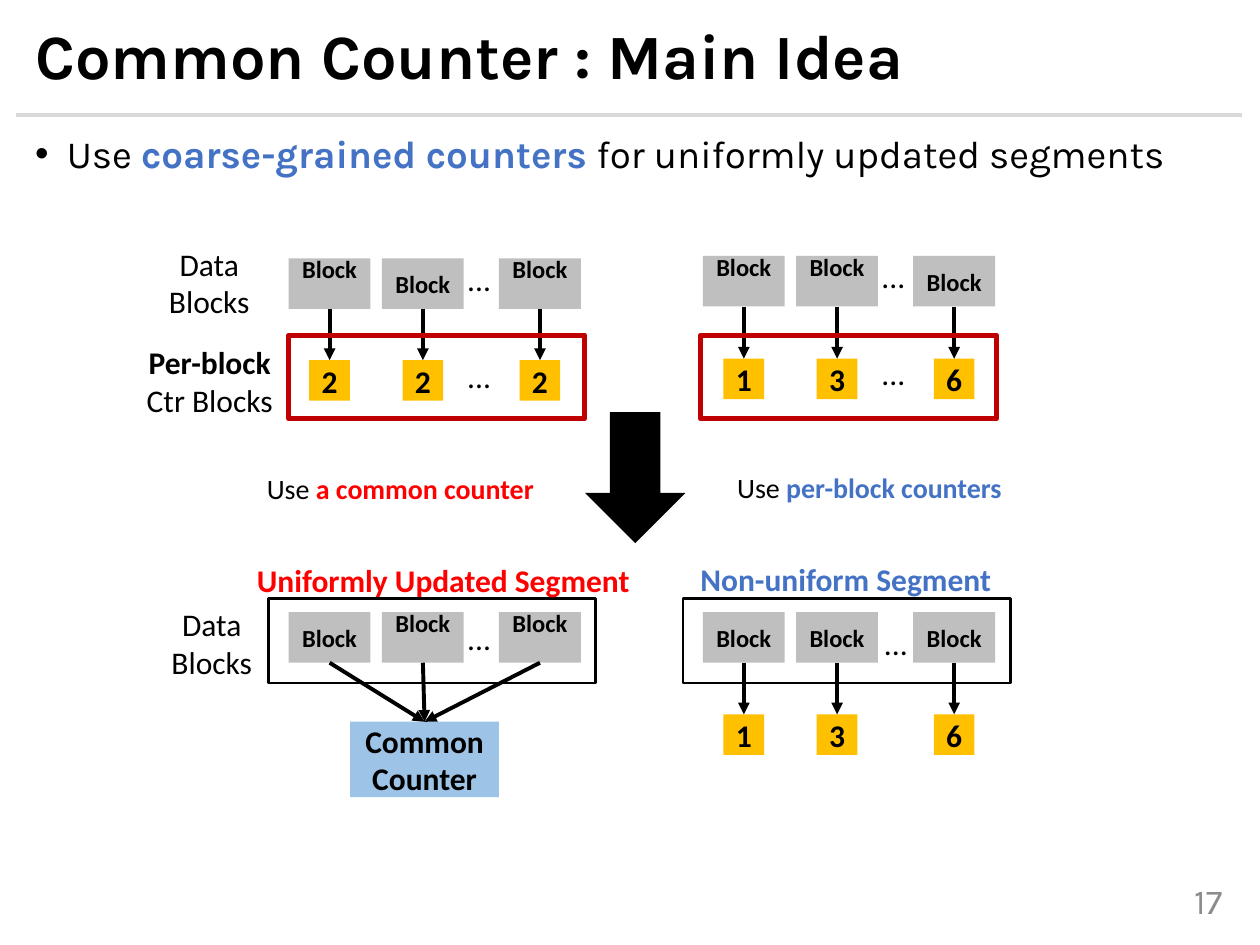
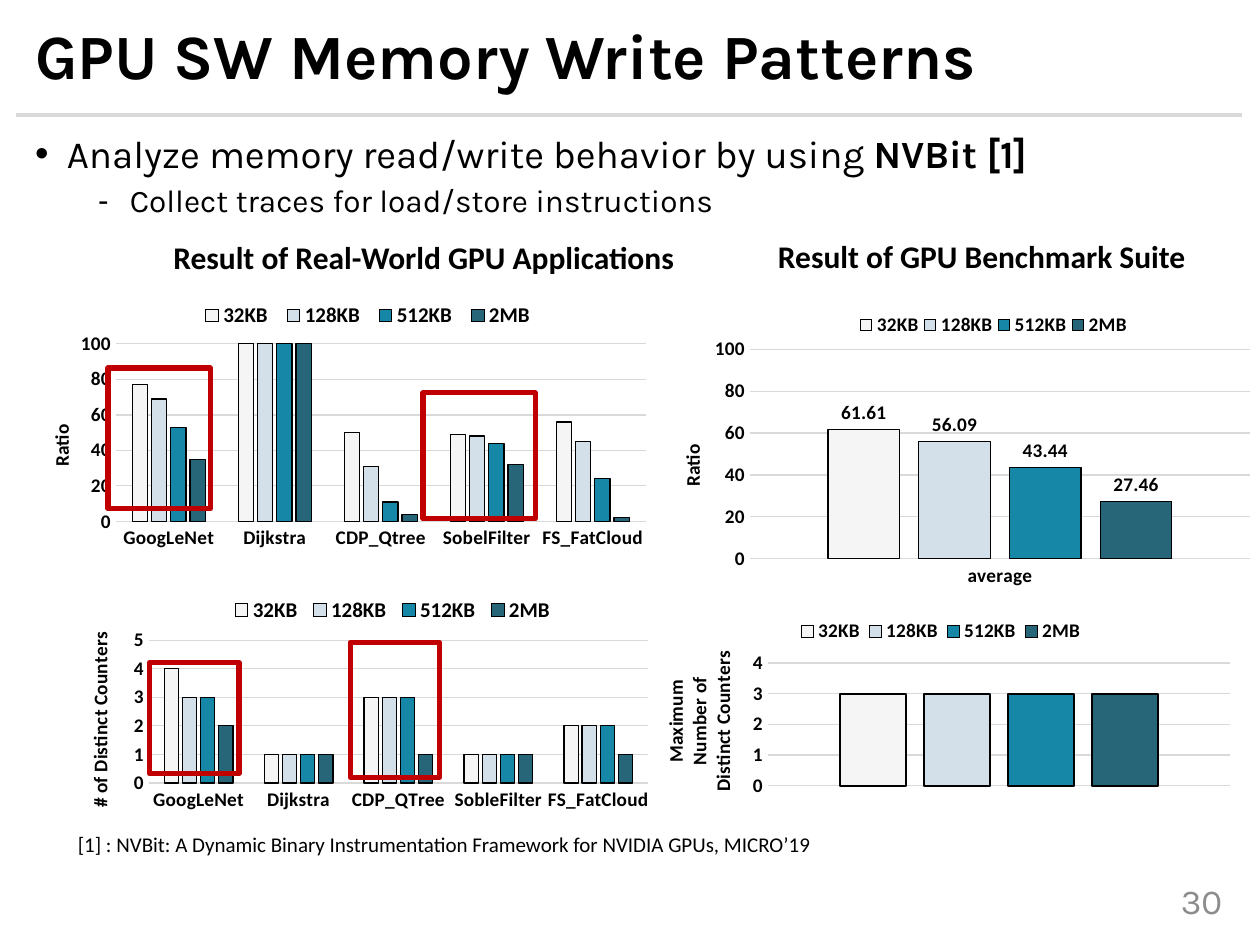
from lxml.etree import SubElement
from pptx import Presentation
from pptx.chart.data import CategoryChartData
from pptx.dml.color import RGBColor
from pptx.enum.chart import XL_CHART_TYPE as ChartType
from pptx.enum.chart import XL_LABEL_POSITION as LabelPosition
from pptx.enum.chart import XL_LEGEND_POSITION as LegendPosition
from pptx.enum.chart import XL_TICK_MARK as TickMark
from pptx.enum.shapes import MSO_CONNECTOR as Connector
from pptx.enum.shapes import MSO_SHAPE as Shape
from pptx.enum.text import MSO_ANCHOR as Anchor
from pptx.enum.text import PP_ALIGN as Align
from pptx.oxml import parse_xml
from pptx.oxml.ns import nsdecls, qn
from pptx.util import Cm, Pt

BLACK = RGBColor(0x00, 0x00, 0x00)
RED = RGBColor(0xFF, 0x00, 0x00)
DARK_RED = RGBColor(0xC0, 0x00, 0x00)
BLUE = RGBColor(0x44, 0x72, 0xC4)
LIGHT_BLUE = RGBColor(0x9D, 0xC3, 0xE6)
GOLD = RGBColor(0xFF, 0xC0, 0x00)
BLOCK_GRAY = RGBColor(0xBF, 0xBF, 0xBF)
RULE_GRAY = RGBColor(0xD9, 0xD9, 0xD9)
NUMBER_GRAY = RGBColor(0x8C, 0x8C, 0x8C)
SERIES_COLORS = {
    "32KB": RGBColor(0xF6, 0xF5, 0xF5),
    "128KB": RGBColor(0xD3, 0xE0, 0xEA),
    "512KB": RGBColor(0x16, 0x87, 0xA7),
    "2MB": RGBColor(0x27, 0x66, 0x78),
}
TITLE_FONT, DIAGRAM_FONT = "Karla", "Calibri"


def add_text(slide, at, *paragraphs, shape=None, kind=None, fill=None, outline=None,
             outline_width=1.5, sizes=(18,), font=DIAGRAM_FONT, color=BLACK, bold=False,
             align=Align.LEFT, anchor=Anchor.TOP, margins=(0.25, 0.13, 0.25, 0.13),
             line_spacing=None, bullets=""):
    """Place a box (a text box unless shape or kind is given) and write in it.

    A paragraph is a string or a list of (text, color, bold) runs;
    bullets holds one bullet character per outline level.
    """
    at = [Cm(length) for length in at]
    if shape is not None:
        shape.left, shape.top, shape.width, shape.height = at
    elif kind is None:
        shape = slide.shapes.add_textbox(*at)
    else:
        shape = slide.shapes.add_shape(kind, *at)
        shape.shadow.inherit = False
        if fill is None:
            shape.fill.background()
        else:
            shape.fill.solid()
            shape.fill.fore_color.rgb = fill
        if outline is None:
            shape.line.fill.background()
        else:
            shape.line.color.rgb = outline
            shape.line.width = Pt(outline_width)
    frame = shape.text_frame
    frame.word_wrap = True
    frame.vertical_anchor = anchor
    (frame.margin_left, frame.margin_top,
     frame.margin_right, frame.margin_bottom) = [Cm(margin) for margin in margins]
    for index, runs in enumerate(paragraphs):
        paragraph = frame.add_paragraph() if index else frame.paragraphs[0]
        if bullets:
            properties = paragraph._p.get_or_add_pPr()
            properties.set("marL", str(Cm(0.64 + 1.27 * index)))
            properties.set("indent", str(-Cm(0.64)))
            SubElement(properties, qn("a:buFont")).set("typeface", "Arial")
            SubElement(properties, qn("a:buChar")).set("char", bullets[index])
            paragraph.level = index
            if index:
                paragraph.space_before = Pt(5)
        paragraph.alignment = align
        if line_spacing:
            paragraph.line_spacing = line_spacing
        if isinstance(runs, str):
            runs = [(runs, color, bold)]
        for text, run_color, run_bold in runs:
            run = paragraph.add_run()
            run.text = text
            run.font.name = font
            run.font.size = Pt(sizes[min(index, len(sizes) - 1)])
            run.font.bold = run_bold
            run.font.color.rgb = run_color


def add_line(slide, start, end, color=BLACK, arrow=False):
    line = slide.shapes.add_connector(
        Connector.STRAIGHT, *[Cm(length) for length in (*start, *end)])
    line.line.color.rgb = color
    line.line.width = Pt(2.25)
    if arrow:
        SubElement(line.line._get_or_add_ln(), qn("a:tailEnd")).set("type", "triangle")
    SubElement(line._element.spPr, qn("a:effectLst"))


presentation = Presentation()
presentation.slide_width, presentation.slide_height = Cm(25.4), Cm(19.05)

# Title, rule, bullets and slide number
outlines = [
    ("Common Counter : Main Idea", "17", 2.21, [
        [("Use ", BLACK, False), ("coarse-grained counters ", BLUE, True),
         ("for uniformly updated segments", BLACK, False)]]),
    ("GPU SW Memory Write Patterns", "30", 14.71, [
        [("Analyze memory read/write behavior by using ", BLACK, False),
         ("NVBit [1]", BLACK, True)],
        "Collect traces for load/store instructions"]),
]
slides = []
for title, number, body_height, body in outlines:
    slide = presentation.slides.add_slide(presentation.slide_layouts[5])
    add_line(slide, (0.33, 2.31), (25.04, 2.31), RULE_GRAY)
    add_text(slide, (0.46, 0.36, 24.71, 1.68), title, shape=slide.shapes.title,
             sizes=(36,), font=TITLE_FONT, bold=True, anchor=Anchor.MIDDLE, line_spacing=0.9)
    add_text(slide, (0.46, 2.59, 24.71, body_height), *body, sizes=(22, 18),
             font=TITLE_FONT, line_spacing=0.9, bullets="•-")
    add_text(slide, (22.15, 17.65, 2.74, 1.02), number, sizes=(20,), font=TITLE_FONT,
             color=NUMBER_GRAY, align=Align.RIGHT, anchor=Anchor.MIDDLE)
    slides.append(slide)
idea_slide, pattern_slide = slides

# Main idea: segments of data blocks and their counters
add_text(idea_slide, (11.79, 8.31, 2.03, 2.64), kind=Shape.DOWN_ARROW, fill=BLACK)
BLOCK_WIDTH, BLOCK_HEIGHT, COUNTER_SIZE = 1.65, 1.02, 0.82
BLOCK_OFFSETS = (0, 1.88, 4.24)
LEFT_SEGMENT, RIGHT_SEGMENT = 5.82, 14.17
COMMON_COUNTER_TOP = (8.56, 14.55)
centered = dict(bold=True, align=Align.CENTER, anchor=Anchor.MIDDLE)

add_text(idea_slide, (7.06, 14.55, 3, 1.52), "Common Counter",
         kind=Shape.RECTANGLE, fill=LIGHT_BLUE, **centered)
# left, block top, raised block labels, counter top, counter values, (dots offset, dots tops)
segments = [
    (LEFT_SEGMENT, 5.21, (0, 2), 7.26, "222", (3.35, (5.11, 7.06))),
    (RIGHT_SEGMENT, 5.16, (0, 1), 7.23, "136", (3.35, (5.06, 7.01))),
    (LEFT_SEGMENT, 12.34, (1, 2), None, "", (3.35, (12.34,))),
    (RIGHT_SEGMENT, 12.34, (), 14.4, "136", (3.4, (12.45,))),
]
for left, block_top, raised, counter_top, values, (dots_offset, dots_tops) in segments:
    for index, offset in enumerate(BLOCK_OFFSETS):
        block_left = left + offset
        center = block_left + BLOCK_WIDTH / 2
        bottom_margin = 0.73 if index in raised else 0.13
        add_text(idea_slide, (block_left, block_top, BLOCK_WIDTH, BLOCK_HEIGHT), "Block",
                 kind=Shape.RECTANGLE, fill=BLOCK_GRAY, sizes=(14,),
                 margins=(0, 0.13, 0, bottom_margin), **centered)
        arrow_end = COMMON_COUNTER_TOP
        if values:
            arrow_end = (center, counter_top)
            add_text(idea_slide,
                     (center - COUNTER_SIZE / 2, counter_top, COUNTER_SIZE, COUNTER_SIZE),
                     values[index], kind=Shape.RECTANGLE, fill=GOLD,
                     margins=(0, 0, 0, 0), **centered)
        add_line(idea_slide, (center, block_top + BLOCK_HEIGHT), arrow_end, arrow=True)
    for dots_top in dots_tops:
        add_text(idea_slide, (left + dots_offset, dots_top, 1.52, 1.02), "...")

for left in (5.41, 13.77):
    add_text(idea_slide, (left, 12.07, 6.6, 1.7), kind=Shape.RECTANGLE, outline=BLACK)
for left in (5.82, 14.12):
    add_text(idea_slide, (left, 6.76, 5.97, 1.68), kind=Shape.RECTANGLE,
             outline=DARK_RED, outline_width=3)

for left, top in ((3.05, 4.8), (3.1, 12.07)):
    add_text(idea_slide, (left, top, 2.34, 1.8), "Data", "Blocks", align=Align.CENTER)
add_text(idea_slide, (2.49, 6.78, 3.48, 1.8), [("Per-block", BLACK, True)], "Ctr Blocks",
         align=Align.CENTER)
for left, top, counters, color in ((5.13, 9.37, "a common counter", RED),
                                   (14.61, 9.35, "per-block counters", BLUE)):
    add_text(idea_slide, (left, top, 11.1, 0.94),
             [("Use ", BLACK, False), (counters, color, True)], sizes=(16,))
add_text(idea_slide, (4.93, 11.18, 8.33, 1.02), "Uniformly Updated Segment",
         color=RED, bold=True)
add_text(idea_slide, (13.87, 11.15, 7.01, 1.02), "Non-uniform Segment",
         color=BLUE, bold=True)

# Write patterns: four charts; layouts are fractions of each chart
charts = [
    dict(at=(0.25, 5.72, 13.03, 5.51), axis="Ratio", top=100, step=20, legend_size=12,
         categories=["GoogLeNet", "Dijkstra", "CDP_Qtree", "SobelFilter", "FS_FatCloud"],
         values=[(77, 100, 50, 49, 56), (69, 100, 31, 48, 45),
                 (53, 100, 11, 44, 24), (35, 100, 4, 32, 2)],
         plot=(0.16, 0.22, 0.82, 0.65), legend=(0.28, 0.07, 0.54, 0.08),
         axis_title=(0.05, 0.5)),
    dict(at=(1.32, 11.66, 11.99, 4.8), axis="# of Distinct Counters", top=5, step=1,
         legend_size=12,
         categories=["GoogLeNet", "Dijkstra", "CDP_QTree", "SobleFilter", "FS_FatCloud"],
         values=[(4, 1, 3, 1, 2), (3, 1, 3, 1, 2), (3, 1, 3, 1, 2), (2, 1, 1, 1, 1)],
         plot=(0.14, 0.26, 0.84, 0.6), legend=(0.27, 0.08, 0.56, 0.1),
         axis_title=(0.03, 0.21)),
    dict(at=(13, 5.82, 12.45, 6.12), axis="Ratio", top=100, step=20, legend_size=11,
         categories=["average"], values=[(61.61,), (56.09,), (43.44,), (27.46,)],
         labels=True, plot=(0.17, 0.2, 0.81, 0.69), legend=(0.34, 0.08, 0.45, 0.08),
         axis_title=(0.05, 0.5)),
    dict(at=(12.9, 12.17, 12.27, 3.99), axis="Maximum\nNumber of\nDistinct Counters",
         top=4, step=1, legend_size=11, categories=["1"], values=[(3,)] * 4,
         hide_categories=True, line_width=1,
         plot=(0.21, 0.3, 0.76, 0.62), legend=(0.25, 0.08, 0.49, 0.1),
         axis_title=(0.03, 0.22)),
]
for spec_of_chart in charts:
    data = CategoryChartData()
    data.categories = spec_of_chart["categories"]
    for name, values in zip(SERIES_COLORS, spec_of_chart["values"]):
        data.add_series(name, values)
    chart = pattern_slide.shapes.add_chart(
        ChartType.COLUMN_CLUSTERED, *[Cm(length) for length in spec_of_chart["at"]], data).chart
    chart.has_title = False
    chart.has_legend = True
    chart.legend.position = LegendPosition.TOP
    chart.legend.include_in_layout = False
    value_axis, category_axis = chart.value_axis, chart.category_axis
    title_frame = value_axis.axis_title.text_frame
    title_frame.text = spec_of_chart["axis"]
    title_frame._txBody.bodyPr.set("rot", "-5400000")
    title_frame._txBody.bodyPr.set("vert", "horz")
    fonts = [(chart.font, 11), (chart.legend.font, spec_of_chart["legend_size"]),
             (value_axis.tick_labels.font, 11), (category_axis.tick_labels.font, 11)]
    fonts += [(run.font, 11) for paragraph in title_frame.paragraphs for run in paragraph.runs]

    plot = chart.plots[0]
    plot.vary_by_categories = False
    plot.gap_width, plot.overlap = 219, -27
    for series, color in zip(plot.series, SERIES_COLORS.values()):
        series.format.fill.solid()
        series.format.fill.fore_color.rgb = color
        series.format.line.color.rgb = BLACK
        series.format.line.width = Pt(spec_of_chart.get("line_width", 0.75))
    if spec_of_chart.get("labels"):
        plot.has_data_labels = True
        labels = plot.data_labels
        labels.show_value = True
        labels.number_format, labels.number_format_is_linked = "0.00", False
        labels.position = LabelPosition.OUTSIDE_END
        fonts.append((labels.font, 11))
    for font, size in fonts:
        font.name, font.size, font.bold = DIAGRAM_FONT, Pt(size), True
        font.color.rgb = BLACK

    value_axis.minimum_scale, value_axis.maximum_scale = 0, spec_of_chart["top"]
    value_axis.major_unit = spec_of_chart["step"]
    value_axis.format.line.fill.background()
    for line in (value_axis.major_gridlines.format.line, category_axis.format.line):
        line.color.rgb = RULE_GRAY
        line.width = Pt(0.75)
    for axis in (value_axis, category_axis):
        axis.major_tick_mark = axis.minor_tick_mark = TickMark.NONE
    category_axis.visible = not spec_of_chart.get("hide_categories", False)

    for element, index, part in ((chart._chartSpace.chart.plotArea, 0, "plot"),
                                 (chart.legend._element, 1, "legend"),
                                 (value_axis.axis_title._element, 1, "axis_title")):
        for automatic in element.findall(qn("c:layout")):
            element.remove(automatic)
        layout = parse_xml(f"<c:layout {nsdecls('c')}><c:manualLayout/></c:layout>")
        if part == "plot":
            SubElement(layout[0], qn("c:layoutTarget")).set("val", "inner")
        for mode in ("xMode", "yMode"):
            SubElement(layout[0], qn(f"c:{mode}")).set("val", "edge")
        for side, fraction in zip("xywh", spec_of_chart[part]):
            SubElement(layout[0], qn(f"c:{side}")).set("val", str(fraction))
        element.insert(index, layout)

for left, top, heading in ((2.69, 4.67, "Result of Real-World GPU Applications"),
                           (13.94, 4.65, "Result of GPU Benchmark Suite")):
    add_text(pattern_slide, (left, top, 11.71, 1.02), heading, bold=True, align=Align.CENTER)
add_text(pattern_slide, (1.32, 16.64, 15.49, 0.76),
         "[1] : NVBit: A Dynamic Binary Instrumentation Framework for NVIDIA GPUs, MICRO’19",
         sizes=(12,))
for highlight in ((3.02, 13.36, 1.8, 2.24), (7.06, 12.95, 1.8, 2.72),
                  (2.18, 7.42, 2.06, 2.84), (8.53, 7.92, 2.26, 2.54)):
    add_text(pattern_slide, highlight, kind=Shape.RECTANGLE, outline=DARK_RED, outline_width=3)

presentation.save("out.pptx")
